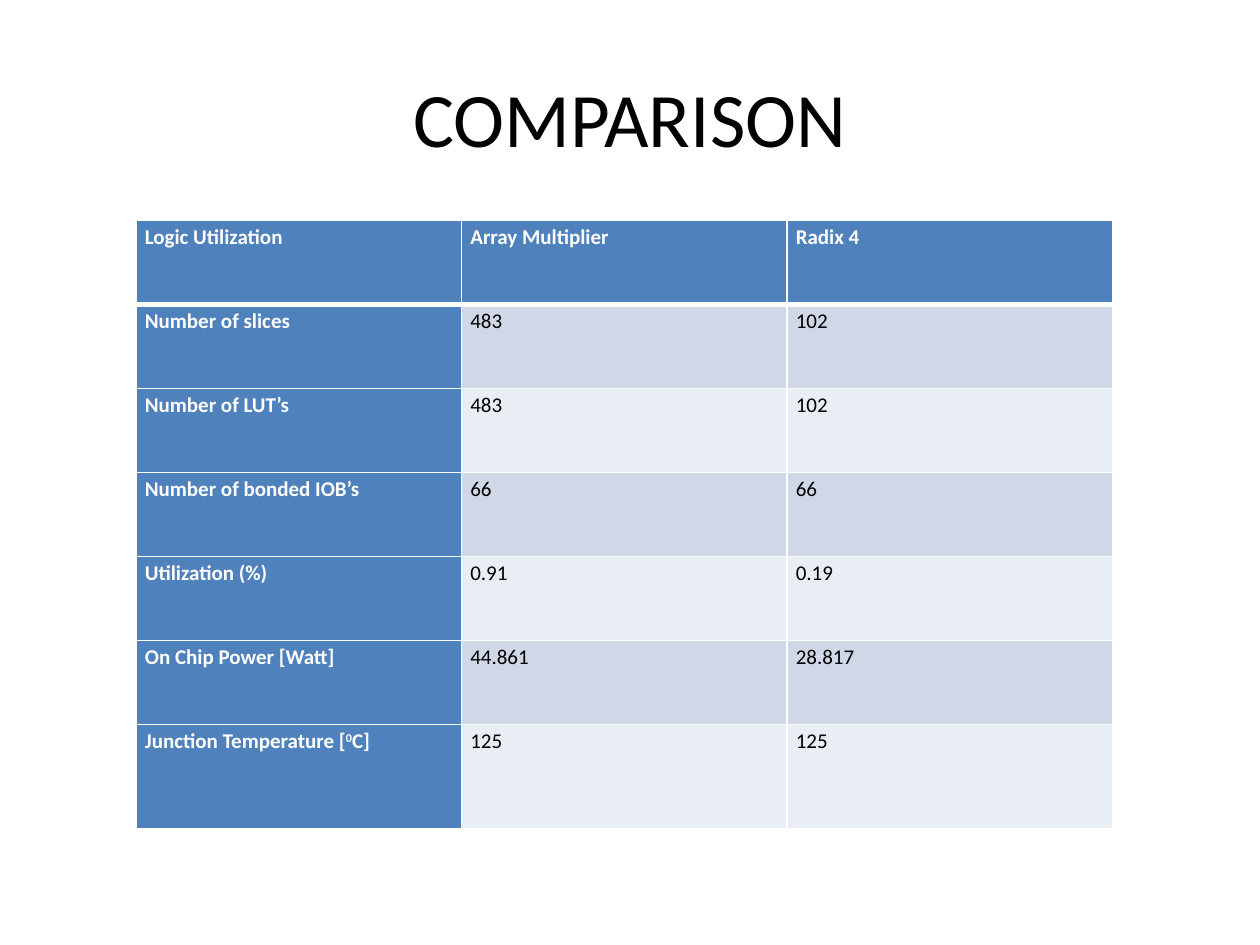
from pptx import Presentation
from pptx.dml.color import RGBColor
from pptx.enum.text import MSO_ANCHOR, PP_ALIGN
from pptx.oxml import parse_xml
from pptx.oxml.ns import nsdecls
from pptx.util import Inches, Pt

COLORS = {"head": "4F81BD", "dark": "D0D8E8", "light": "E9EDF4",
          "white": "FFFFFF", "black": "000000"}
FONT = "Calibri"
ROWS = [
    ["Logic Utilization", "Array Multiplier", "Radix 4"],
    ["Number of slices", "483", "102"],
    ["Number of LUT’s", "483", "102"],
    ["Number of bonded IOB’s", "66", "66"],
    ["Utilization (%)", "0.91", "0.19"],
    ["On Chip Power [Watt]", "44.861", "28.817"],
    ["Junction Temperature [^0^C]", "125", "125"],
]


def write(frame, text, size=12, color="black", bold=False,
          align=PP_ALIGN.JUSTIFY, space=None):
    para = frame.paragraphs[0]
    para.alignment = align
    para.line_spacing = space
    for i, part in enumerate(text.split("^")):
        run = para.add_run()
        run.text = part
        font = run.font
        font.name, font.size, font.bold = FONT, Pt(size), bold
        font.color.rgb = RGBColor.from_string(COLORS[color])
        if i % 2:
            font._element.set("baseline", "30000")


def border(cell, **widths):
    props = cell._tc.get_or_add_tcPr()
    for i, side in enumerate("LRTB"):
        width = Pt(widths.get(side, 1))
        props.insert(i, parse_xml(
            f'<a:ln{side} {nsdecls("a")} w="{width}"><a:solidFill>'
            f'<a:srgbClr val="{COLORS["white"]}"/></a:solidFill></a:ln{side}>'))


def add_title(slide, text, left, top, width, height):
    title = slide.shapes.title
    title.left, title.top = Inches(left), Inches(top)
    title.width, title.height = Inches(width), Inches(height)
    title.text_frame.vertical_anchor = MSO_ANCHOR.MIDDLE
    write(title.text_frame, text, size=44, align=PP_ALIGN.CENTER)


def add_grid(slide, rows, left, top, width, height):
    table = slide.shapes.add_table(
        len(rows), len(rows[0]), Inches(left), Inches(top),
        Inches(width), Inches(height)).table
    step = 0.667
    for row in table.rows:
        row.height = Inches(step)
    table.rows[len(rows) - 1].height = Inches(height - step * (len(rows) - 1))
    for r, row in enumerate(rows):
        for c, text in enumerate(row):
            cell = table.cell(r, c)
            head = r == 0 or c == 0
            fill = "head" if head else "dark" if r % 2 else "light"
            cell.fill.solid()
            cell.fill.fore_color.rgb = RGBColor.from_string(COLORS[fill])
            cell.margin_left = cell.margin_right = Inches(0.07)
            cell.margin_top = cell.margin_bottom = 0
            border(cell, B=3 if r == 0 else 1, T=3 if r == 1 else 1)
            write(cell.text_frame, text, bold=head, space=1.15,
                  color="white" if head else "black")


deck = Presentation()
deck.slide_width, deck.slide_height = Inches(10), Inches(7.5)
slide = deck.slides.add_slide(deck.slide_layouts[5])
add_title(slide, "COMPARISON", 0.5, 0.3, 9, 1.25)
add_grid(slide, ROWS, 1.08, 1.75, 7.75, 4.83)
deck.save("out.pptx")
